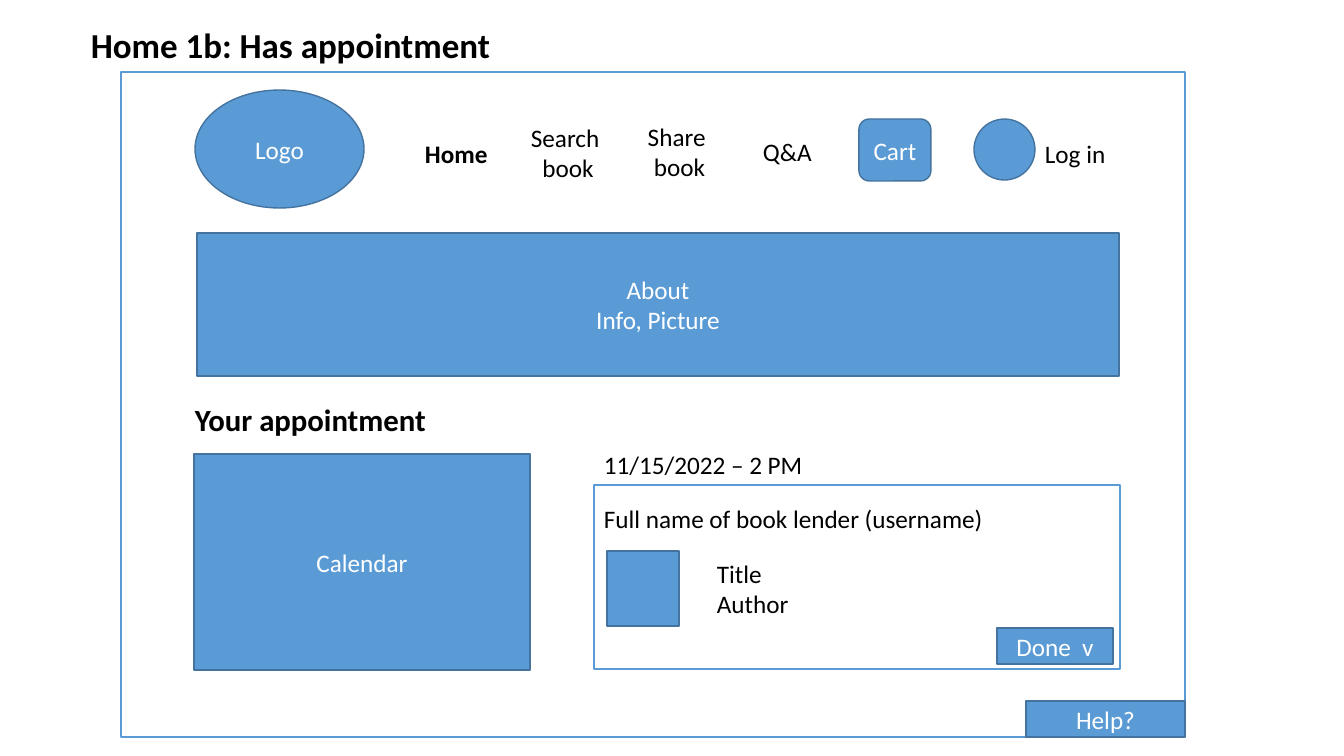
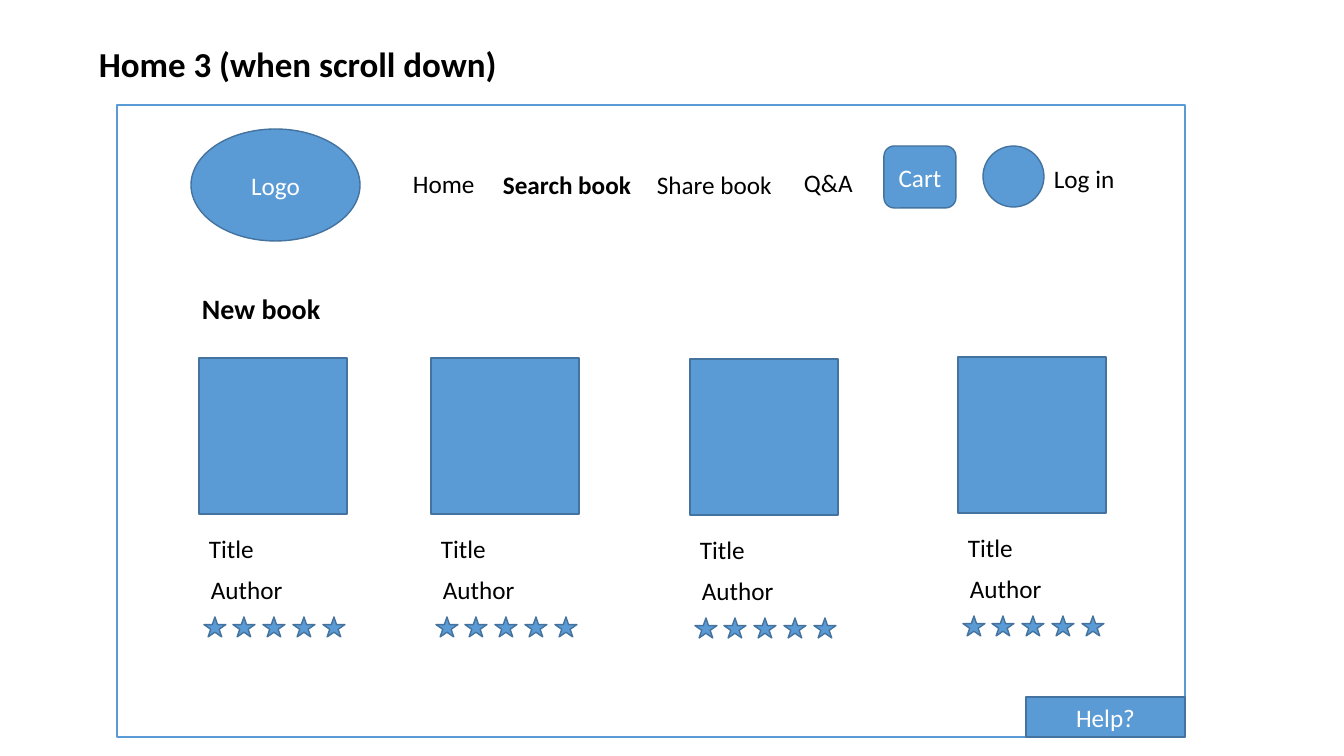
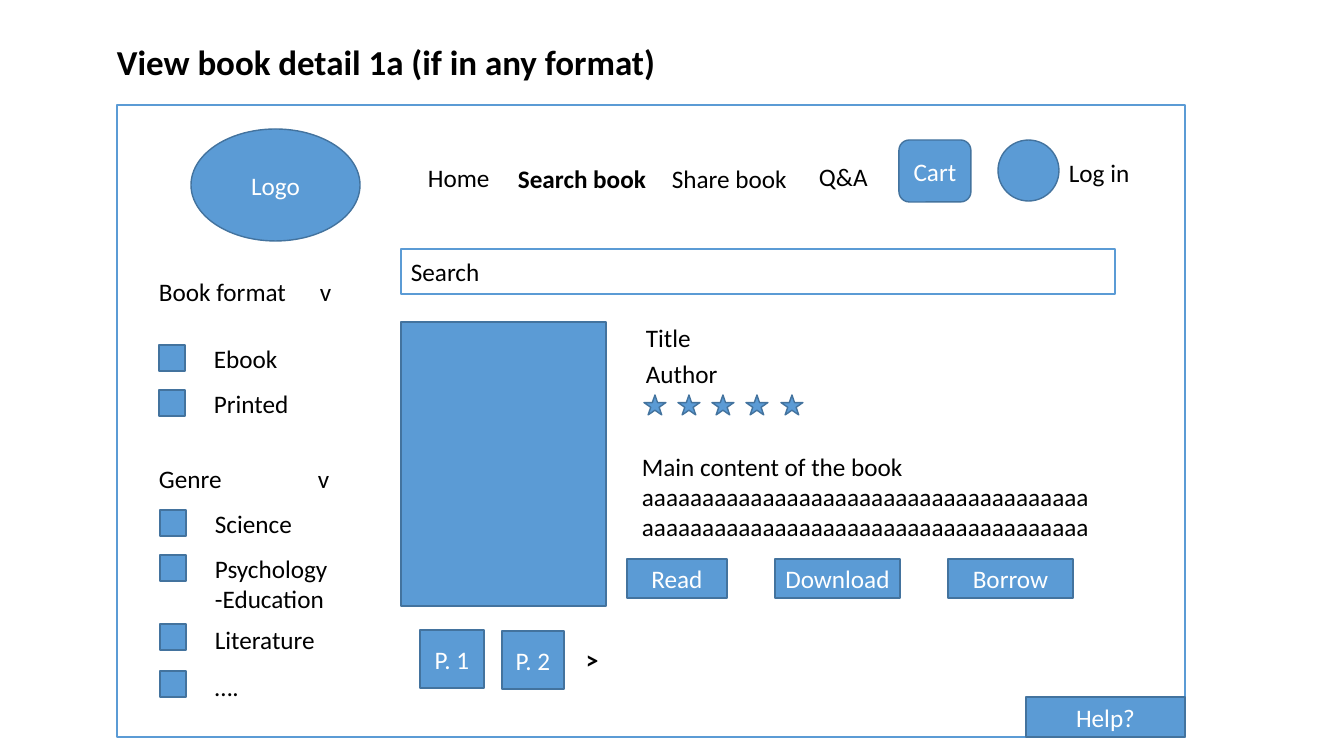
from dataclasses import dataclass

from lxml.etree import SubElement
from pptx import Presentation
from pptx.dml.color import RGBColor
from pptx.enum.shapes import MSO_SHAPE
from pptx.enum.text import MSO_ANCHOR, MSO_AUTO_SIZE, PP_ALIGN
from pptx.oxml.ns import qn
from pptx.slide import Slide
from pptx.text.text import TextFrame
from pptx.util import Emu, Pt

WIDE, HIGH = 1344, 756
SCALE = 12192000 / WIDE
FONT = "Calibri"
BLUE, EDGE, WHITE, BLACK = "5B9BD5", "43739E", "FFFFFF", "000000"
RECT, ROUND = MSO_SHAPE.RECTANGLE, MSO_SHAPE.ROUNDED_RECTANGLE
OVAL, STAR = MSO_SHAPE.OVAL, MSO_SHAPE.STAR_5_POINT
LEFT, MID = PP_ALIGN.LEFT, PP_ALIGN.CENTER
RATING = 5


@dataclass(frozen=True)
class Box:
    x: int
    y: int
    w: int
    h: int
    text: str = ""
    kind: MSO_SHAPE = RECT
    open: bool = False
    inset: int = 0


@dataclass(frozen=True)
class Label:
    x: int
    y: int
    w: int
    text: str
    h: int = 41
    size: int = 18
    bold: bool = False
    align: PP_ALIGN = LEFT
    wrap: bool = True
    tab: int = 0


@dataclass(frozen=True)
class Page:
    title: Label
    frame: Box
    logo: Box
    help_h: int


@dataclass(frozen=True)
class Option:
    text: str
    y: int
    drop: int = 7
    h: int = 41


def px(size: int) -> Emu:
    return Emu(round(size * SCALE))


def color(code: str) -> RGBColor:
    return RGBColor.from_string(code)


def write(frame: TextFrame, text: str, ink: str, size: int = 18,
          bold: bool = False, align: PP_ALIGN = LEFT, tab: int = 0) -> None:
    for i, line in enumerate(text.split("\n")):
        para = frame.add_paragraph() if i else frame.paragraphs[0]
        para.alignment = align
        if tab:
            stops = SubElement(para._p.get_or_add_pPr(), qn("a:tabLst"))
            SubElement(stops, qn("a:tab"), pos=str(px(tab)), algn="l")
        run = para.add_run()
        run.text = line
        run.font.name = FONT
        run.font.size = Pt(size)
        run.font.bold = bold
        run.font.color.rgb = color(ink)


def draw(slide: Slide, box: Box) -> None:
    shape = slide.shapes.add_shape(box.kind, px(box.x), px(box.y), px(box.w), px(box.h))
    shape.shadow.inherit = False
    shape.fill.solid()
    shape.fill.fore_color.rgb = color(WHITE if box.open else BLUE)
    shape.line.color.rgb = color(BLUE if box.open else EDGE)
    shape.line.width = Pt(1)
    if not box.text:
        return
    frame = shape.text_frame
    frame.vertical_anchor = MSO_ANCHOR.MIDDLE
    if box.inset:
        frame.vertical_anchor = MSO_ANCHOR.TOP
        frame.margin_top = px(box.inset)
    write(frame, box.text, BLACK if box.open else WHITE, align=LEFT if box.open else MID)


def label(slide: Slide, item: Label) -> None:
    shape = slide.shapes.add_textbox(px(item.x), px(item.y), px(item.w), px(item.h))
    frame = shape.text_frame
    frame.word_wrap = item.wrap
    frame.auto_size = MSO_AUTO_SIZE.SHAPE_TO_FIT_TEXT
    write(frame, item.text, BLACK, item.size, item.bold, item.align, item.tab)


def put(slide: Slide, *items: Box | Label) -> None:
    for item in items:
        if isinstance(item, Box):
            draw(slide, item)
        else:
            label(slide, item)


def heading(text: str, x: int, y: int, w: int) -> Label:
    return Label(x, y, w, text, h=52, size=25, bold=True, wrap=False)


def start(page: Page) -> Slide:
    slide = deck.slides.add_slide(deck.slide_layouts[6])
    frame, wide = page.frame, 159
    button = Box(frame.x + frame.w - wide, frame.y + frame.h - page.help_h,
                 wide, page.help_h, "Help?")
    put(slide, frame, page.logo, page.title, button)
    return slide


def account(slide: Slide, x: int, y: int, gap: int, drop: int) -> None:
    user = x + 72 + gap
    put(slide,
        Box(x, y, 72, 62, "Cart", ROUND),
        Box(user, y, 61, 61, kind=OVAL),
        Label(user + 61, y + drop, 103, "Log in"))


def menu(slide: Slide, x: int, y: int) -> None:
    put(slide,
        Label(x, y + 1, 93, "Home"),
        Label(x + 90, y + 2, 149, "Search book", bold=True),
        Label(x + 244, y + 2, 149, "Share book"),
        Label(x + 391, y, 73, "Q&A"))
    account(slide, x + 481, y - 16, gap=27, drop=12)


def stars(slide: Slide, x: int, y: int, span: int) -> None:
    for i in range(RATING):
        draw(slide, Box(x + span * i // (RATING - 1), y, 22, 20, kind=STAR))


def book(slide: Slide, x: int, y: int) -> None:
    put(slide,
        Box(x, y, 148, 156),
        Label(x, y + 170, 144, "Title"),
        Label(x + 2, y + 211, 144, "Author"))
    stars(slide, x + 5, y + 259, span=119)


def choices(slide: Slide, head: Label, x: int, rows: list[Option]) -> None:
    label(slide, head)
    for row in rows:
        put(slide,
            Box(x, row.y, 26, 26),
            Label(x + 45, row.y - row.drop, 137, row.text, h=row.h))


def visit() -> None:
    slide = start(Page(heading("Home 1b: Has appointment", 81, 19, 423),
                       Box(121, 72, 1064, 665, open=True),
                       Box(195, 90, 169, 118, "Logo", OVAL), help_h=36))
    put(slide,
        Label(415, 133, 93, "Home", bold=True),
        Label(504, 117, 128, "Search \nbook", h=74, align=MID),
        Label(633, 116, 93, "Share \nbook", h=74, align=MID),
        Label(753, 131, 73, "Q&A"))
    account(slide, 859, 119, gap=43, drop=14)
    put(slide,
        Box(197, 233, 922, 143, "About\nInfo, Picture"),
        Label(185, 396, 253, "Your appointment", h=47, size=22, bold=True),
        Label(594, 444, 335, "11/15/2022 – 2 PM"),
        Box(194, 454, 336, 216, "Calendar"),
        Box(594, 485, 526, 184, "Full name of book lender (username)", open=True, inset=18),
        Box(607, 551, 72, 75),
        Label(707, 553, 112, "Title\nAuthor", h=72),
        Box(997, 628, 116, 36, "Done  v"))


def inner(title: Label) -> Slide:
    return start(Page(title, Box(117, 105, 1068, 632, open=True),
                      Box(191, 129, 169, 112, "Logo", OVAL), help_h=40))


def scroll() -> None:
    slide = inner(heading("Home 3 (when scroll down)", 89, 38, 422))
    menu(slide, 403, 162)
    label(slide, Label(192, 287, 168, "New book", h=44, size=20, bold=True))
    for x, y in [(199, 358), (431, 358), (690, 359), (958, 357)]:
        book(slide, x, y)


def detail() -> None:
    slide = inner(heading("View book detail 1a (if in any format)", 107, 36, 564))
    menu(slide, 418, 156)
    put(slide,
        Box(401, 249, 714, 45, "Search", open=True),
        Box(401, 322, 205, 284),
        Label(636, 317, 144, "Title"),
        Label(636, 353, 144, "Author"),
        Label(632, 446, 471, "Main content of the book\n" + "a" * 74, h=102))
    stars(slide, 644, 395, span=137)
    for x, wide, text in [(627, 100, "Read"), (775, 125, "Download"), (948, 125, "Borrow")]:
        draw(slide, Box(x, 559, wide, 39, text))
    choices(slide, Label(149, 271, 221, "Book format\tv", tab=161), 159,
            [Option("Ebook", 345), Option("Printed", 390)])
    choices(slide, Label(149, 458, 206, "Genre\tv", tab=159), 160,
            [Option("Science", 510), Option("Psychology-Education", 555, h=72),
             Option("Literature", 624, drop=5), Option("….", 671, drop=5)])
    put(slide,
        Box(420, 630, 64, 58, "P. 1"),
        Box(502, 631, 62, 58, "P. 2"),
        Label(576, 639, 32, ">", bold=True, wrap=False))


deck = Presentation()
deck.slide_width, deck.slide_height = px(WIDE), px(HIGH)
visit()
scroll()
detail()
deck.save("out.pptx")
